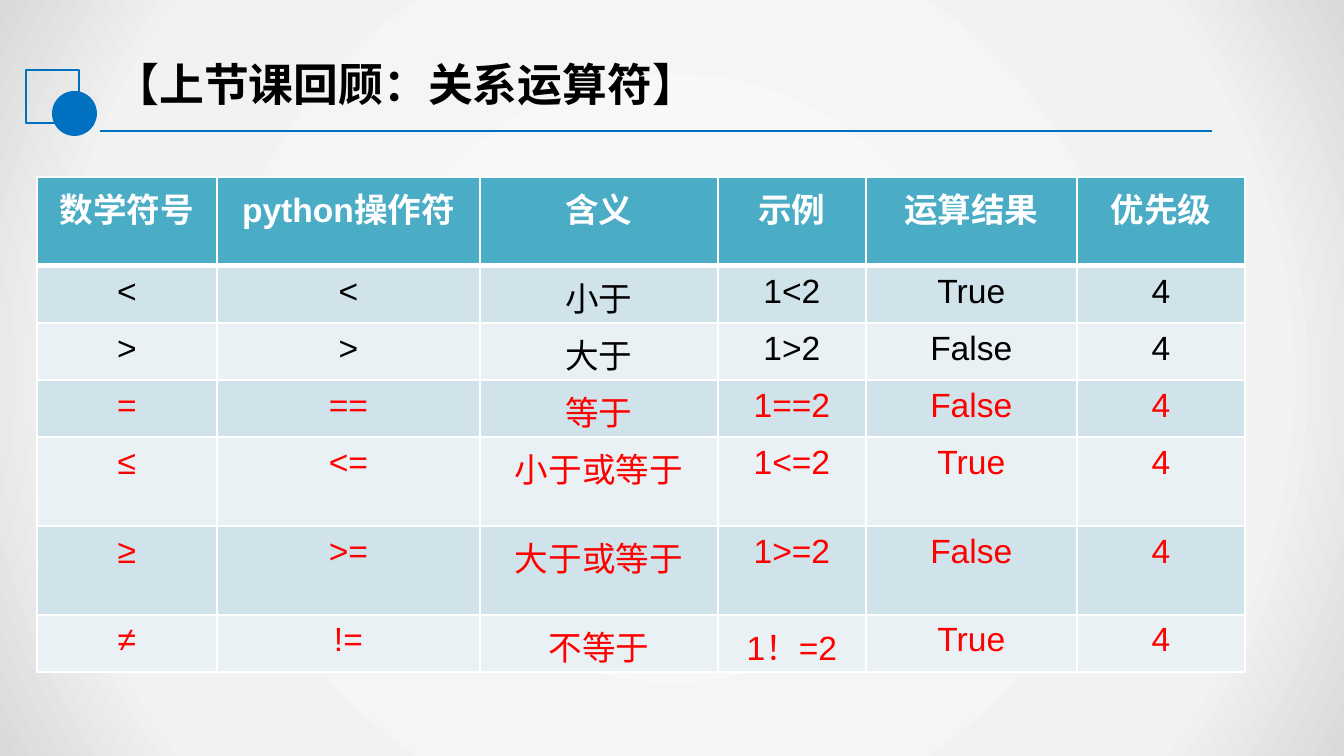
import pptx
import pptx.dml.color
import pptx.enum.shapes
import pptx.enum.text
import pptx.oxml
import pptx.oxml.ns
import pptx.util
from lxml import etree

PX = 914400 / 134.4
BLACK = pptx.dml.color.RGBColor(0x00, 0x00, 0x00)
WHITE = pptx.dml.color.RGBColor(0xFF, 0xFF, 0xFF)
RED = pptx.dml.color.RGBColor(0xFF, 0x00, 0x00)
BLUE = pptx.dml.color.RGBColor(0x00, 0x70, 0xC0)
TEAL = pptx.dml.color.RGBColor(0x4B, 0xAC, 0xC6)
BANDS = [pptx.dml.color.RGBColor(0xD0, 0xE3, 0xEA), pptx.dml.color.RGBColor(0xE9, 0xF1, 0xF5)]
CHINESE_FONT = "Noto Sans CJK SC"
qn = pptx.oxml.ns.qn
NAMESPACE = pptx.oxml.ns.nsdecls("a")


def px(*lengths):
    return [pptx.util.Emu(round(length * PX)) for length in lengths]


def write(paragraph, text, color, **font_values):
    run = paragraph.add_run()
    run.text = text
    for name, value in font_values.items():
        setattr(run.font, name, value)
    run.font.color.rgb = color
    east_asian = etree.SubElement(run.font._element, qn("a:ea"))
    east_asian.set("typeface", CHINESE_FONT)


presentation = pptx.Presentation()
presentation.slide_width, presentation.slide_height = px(1344, 756)
slide = presentation.slides.add_slide(presentation.slide_layouts[5])

# Background: radial grey gradient
slide.background.fill.gradient()
gradient = next(slide.element.iter(qn("a:gradFill")))
stops = "".join(
    f'<a:gs pos="{position * 1000}"><a:srgbClr val="{color}"/></a:gs>'
    for position, color in [(0, "FBFBFB"), (79, "F2F2F2"), (100, "D9D9D9")]
)
gradient.getparent().replace(gradient, pptx.oxml.parse_xml(
    f'<a:gradFill {NAMESPACE} rotWithShape="1"><a:gsLst>{stops}</a:gsLst><a:path path="circle">'
    '<a:fillToRect l="50000" t="50000" r="50000" b="50000"/></a:path></a:gradFill>'
))

# Title
title = slide.shapes.title
title.left, title.top, title.width, title.height = px(101, 50, 614, 67)
frame = title.text_frame
frame.word_wrap = True
frame.auto_size = pptx.enum.text.MSO_AUTO_SIZE.NONE
frame.vertical_anchor = pptx.enum.text.MSO_ANCHOR.MIDDLE
frame.paragraphs[0].alignment = pptx.enum.text.PP_ALIGN.LEFT
write(frame.paragraphs[0], "【上节课回顾：关系运算符】", BLACK,
      size=pptx.util.Pt(24), name=CHINESE_FONT, bold=True)

# Title ornament: square, rule, dot
square = slide.shapes.add_shape(pptx.enum.shapes.MSO_SHAPE.RECTANGLE, *px(26, 70, 53, 53))
square.shadow.inherit = False
square.fill.background()
square.line.color.rgb = BLUE
square.line.width = pptx.util.Pt(0.75)

rule = slide.shapes.add_connector(pptx.enum.shapes.MSO_CONNECTOR.STRAIGHT, *px(100, 131, 1212, 131))
rule.line.color.rgb = BLUE
rule.line.width = pptx.util.Pt(1.25)
etree.SubElement(rule._element.spPr, qn("a:effectLst"))

dot = slide.shapes.add_shape(pptx.enum.shapes.MSO_SHAPE.OVAL, *px(52, 91, 45, 45))
dot.shadow.inherit = False
dot.fill.solid()
dot.fill.fore_color.rgb = BLUE
dot.line.fill.background()

# Operator table
rows = [
    ["数学符号", "python操作符", "含义", "示例", "运算结果", "优先级"],
    ["<", "<", "小于", "1<2", "True", "4"],
    [">", ">", "大于", "1>2", "False", "4"],
    ["=", "==", "等于", "1==2", "False", "4"],
    ["≤", "<=", "小于或等于", "1<=2", "True", "4"],
    ["≥", ">=", "大于或等于", "1>=2", "False", "4"],
    ["≠", "!=", "不等于", "1！=2", "True", "4"],
]
column_widths = [180, 263, 238, 148, 211, 168]
row_heights = [89, 57, 57, 57, 89, 89, 57]
table = slide.shapes.add_table(
    len(rows), len(column_widths),
    *px(37, 177, sum(column_widths), sum(row_heights))).table
for column, width in zip(table.columns, px(*column_widths)):
    column.width = width
for row, height in zip(table.rows, px(*row_heights)):
    row.height = height

for row_index, texts in enumerate(rows):
    is_header = row_index == 0
    fill_color = TEAL if is_header else BANDS[(row_index - 1) % 2]
    text_color = WHITE if is_header else BLACK if row_index < 3 else RED
    # The line between header and body is the thick one
    thick_side = {0: "B", 1: "T"}.get(row_index)
    for column_index, text in enumerate(texts):
        cell = table.cell(row_index, column_index)
        cell.margin_bottom = 0
        properties = cell._tc.get_or_add_tcPr()
        for side in "LRTB":
            width = pptx.util.Pt(3 if side == thick_side else 1)
            properties.append(pptx.oxml.parse_xml(
                f'<a:ln{side} {NAMESPACE} w="{width}"><a:solidFill>'
                f'<a:srgbClr val="{WHITE}"/></a:solidFill></a:ln{side}>'))
        cell.fill.solid()
        cell.fill.fore_color.rgb = fill_color
        paragraph = cell.text_frame.paragraphs[0]
        paragraph.alignment = pptx.enum.text.PP_ALIGN.CENTER
        write(paragraph, text, text_color,
              size=pptx.util.Pt(18), name="Arial", bold=is_header)

presentation.save("out.pptx")
